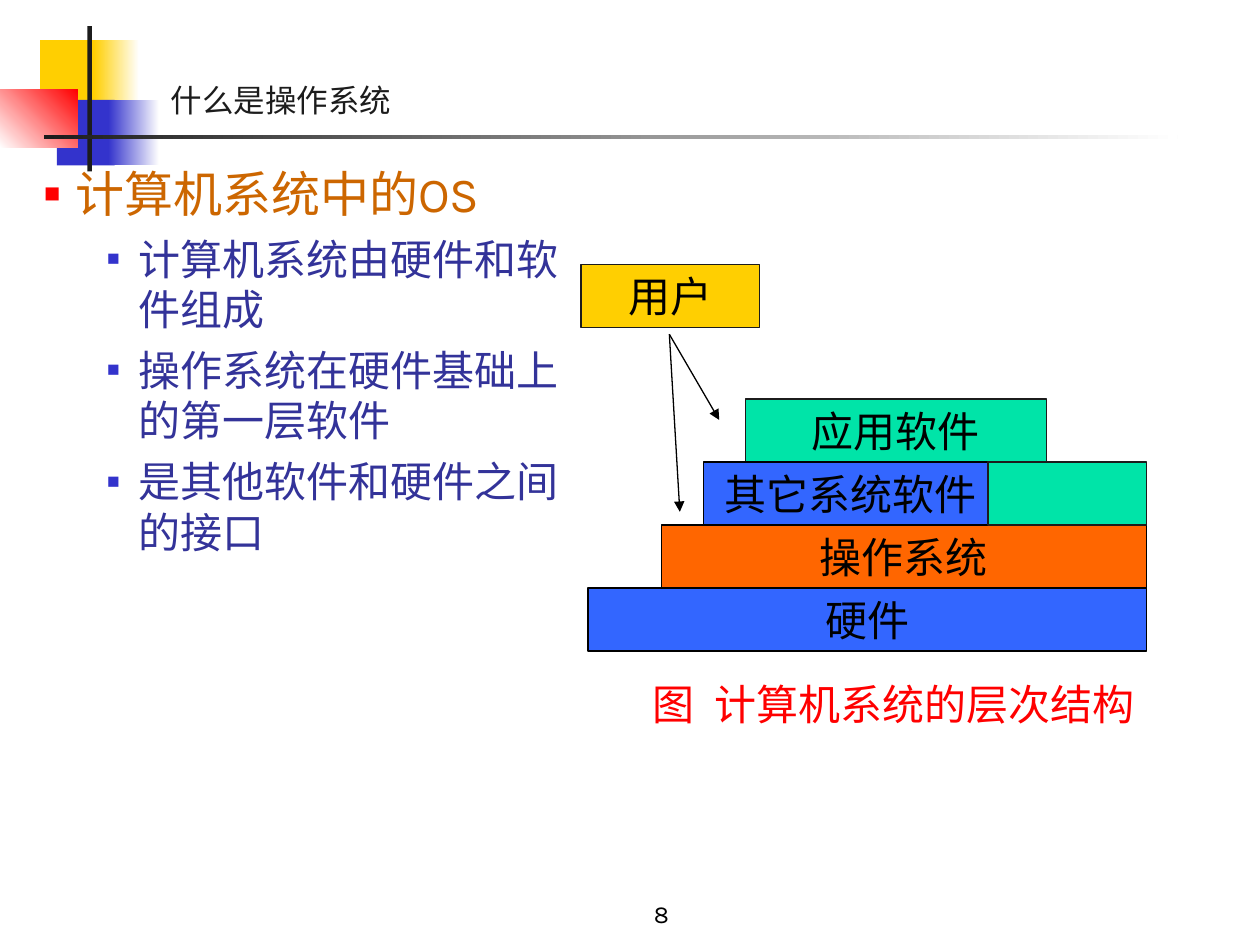
"""Build the slide on the operating system's place in a layered computer system."""
from lxml.etree import SubElement
from pptx import Presentation
from pptx.dml.color import RGBColor
from pptx.enum.shapes import MSO_CONNECTOR, MSO_SHAPE
from pptx.enum.text import MSO_ANCHOR as ANCHOR, MSO_AUTO_SIZE as AUTO_SIZE, PP_ALIGN as ALIGN
from pptx.oxml.ns import qn
from pptx.util import Pt


def color(hex_string):
    return RGBColor.from_string(hex_string)


def write(paragraph, text, size=24, font="Karla", ink="000000", align=ALIGN.LEFT, before=0):
    paragraph.alignment = align
    paragraph.space_before = Pt(before)
    run = paragraph.add_run()
    run.text = text
    run.font.size = Pt(size)
    run.font.name = font
    run.font.color.rgb = color(ink)


prs = Presentation()
prs.slide_width, prs.slide_height = Pt(720), Pt(540)
slide = prs.slides.add_slide(prs.slide_layouts[1])
shapes = slide.shapes

decorations = [
    (23, 23, 34.5, 37.5, "FFCF01", None, 0),
    (53.5, 23, 26, 37.5, "FFCF01", "FFFFFF", 0),
    (32.5, 57, 33, 37.5, "3333CC", None, 0),
    (62, 57, 29, 37.5, "3333CC", "FFFFFF", 0),
    (0, 51, 44.5, 33.5, "FFFFFF", "FF0000", 45),
    (50, 15, 2.5, 83, "1C1C1C", None, 0),
    (25, 77, 648, 2.5, "1C1C1C", "FFFFFF", 0),
]
for left, top, width, height, start, end, angle in decorations:
    block = shapes.add_shape(MSO_SHAPE.RECTANGLE, Pt(left), Pt(top), Pt(width), Pt(height))
    block.shadow.inherit = False
    block.line.fill.background()
    if end:
        block.fill.gradient()
        block.fill.gradient_angle = angle
        for stop, shade in zip(block.fill.gradient_stops, (start, end)):
            stop.color.rgb = color(shade)
    else:
        block.fill.solid()
        block.fill.fore_color.rgb = color(start)

title = shapes.title
title.left, title.top, title.width, title.height = Pt(90.5), Pt(48), Pt(613.5), Pt(23.5)
title.text_frame.vertical_anchor = ANCHOR.BOTTOM
title.text_frame.auto_size = AUTO_SIZE.NONE
write(title.text_frame.paragraphs[0], "什么是操作系统", size=18, ink="1C1C1C")

body = slide.placeholders[1]
body.left, body.top, body.width, body.height = Pt(0), Pt(90), Pt(336), Pt(350.5)
body.text_frame.auto_size = AUTO_SIZE.NONE
points = [
    ("计算机系统中的OS", 0, 28, "Karla", "CC6600", 7, "FF0000", 55),
    ("计算机系统由硬件和软件组成", 1, 24, "Noto Sans CJK SC", "333399", 6, "3333CC", 50),
    ("操作系统在硬件基础上的第一层软件", 1, 24, "Noto Sans CJK SC", "333399", 6, "3333CC", 50),
    ("是其他软件和硬件之间的接口", 1, 24, "Noto Sans CJK SC", "333399", 6, "3333CC", 50),
]
for i, (text, level, size, font, ink, before, bullet_ink, bullet_size) in enumerate(points):
    point = body.text_frame.add_paragraph() if i else body.text_frame.paragraphs[0]
    point.level = level
    write(point, text, size=size, font=font, ink=ink, before=before)
    props = point._p.get_or_add_pPr()
    props.set("marL", str(Pt(36 * (level + 1))))
    props.set("indent", str(Pt(-18)))
    SubElement(SubElement(props, qn("a:buClr")), qn("a:srgbClr"), val=bullet_ink)
    SubElement(props, qn("a:buSzPct"), val=str(bullet_size * 1000))
    SubElement(props, qn("a:buChar"), char="■")

layers = [
    ("硬件", 336, 336, 319, "3366FF", "000000"),
    ("操作系统", 378, 300, 277, "FF6600", "000000"),
    ("应用软件", 426, 228, 172, "00E4A8", "1C1C1C"),
    ("用户", 332, 151, 102, "FFCF01", "1C1C1C"),
    ("其它系统软件", 402, 264, 168, "3366FF", "000000"),
    ("", 564.5, 264, 90.5, "00E4A8", "1C1C1C"),
]
for name, left, top, width, fill, edge in layers:
    layer = shapes.add_shape(MSO_SHAPE.RECTANGLE, Pt(left), Pt(top), Pt(width), Pt(36))
    layer.shadow.inherit = False
    layer.fill.solid()
    layer.fill.fore_color.rgb = color(fill)
    layer.line.color.rgb = color(edge)
    layer.line.width = Pt(0.75)
    if name:
        layer.text_frame.vertical_anchor = ANCHOR.MIDDLE
        write(layer.text_frame.paragraphs[0], name, align=ALIGN.CENTER)

for end_x, end_y in [(411, 240), (388.5, 292.5)]:
    arrow = shapes.add_connector(MSO_CONNECTOR.STRAIGHT, Pt(382.5), Pt(191), Pt(end_x), Pt(end_y))
    arrow.line.color.rgb = color("000000")
    arrow.line.width = Pt(0.75)
    SubElement(arrow.line._get_or_add_ln(), qn("a:tailEnd"), type="triangle")
    SubElement(arrow._element.spPr, qn("a:effectLst"))

caption = shapes.add_textbox(Pt(366), Pt(384), Pt(318), Pt(36)).text_frame
caption.word_wrap = True
write(caption.paragraphs[0], "图\t计算机系统的层次结构", font="Noto Sans CJK SC", ink="FF0000")
tab_stops = SubElement(caption.paragraphs[0]._p.get_or_add_pPr(), qn("a:tabLst"))
SubElement(tab_stops, qn("a:tab"), pos=str(Pt(35)), algn="l")

page_number = shapes.add_textbox(Pt(264), Pt(498), Pt(228), Pt(36)).text_frame
page_number.word_wrap = True
page_number.vertical_anchor = ANCHOR.BOTTOM
write(page_number.paragraphs[0], "8", size=14, align=ALIGN.CENTER)

prs.save("out.pptx")
